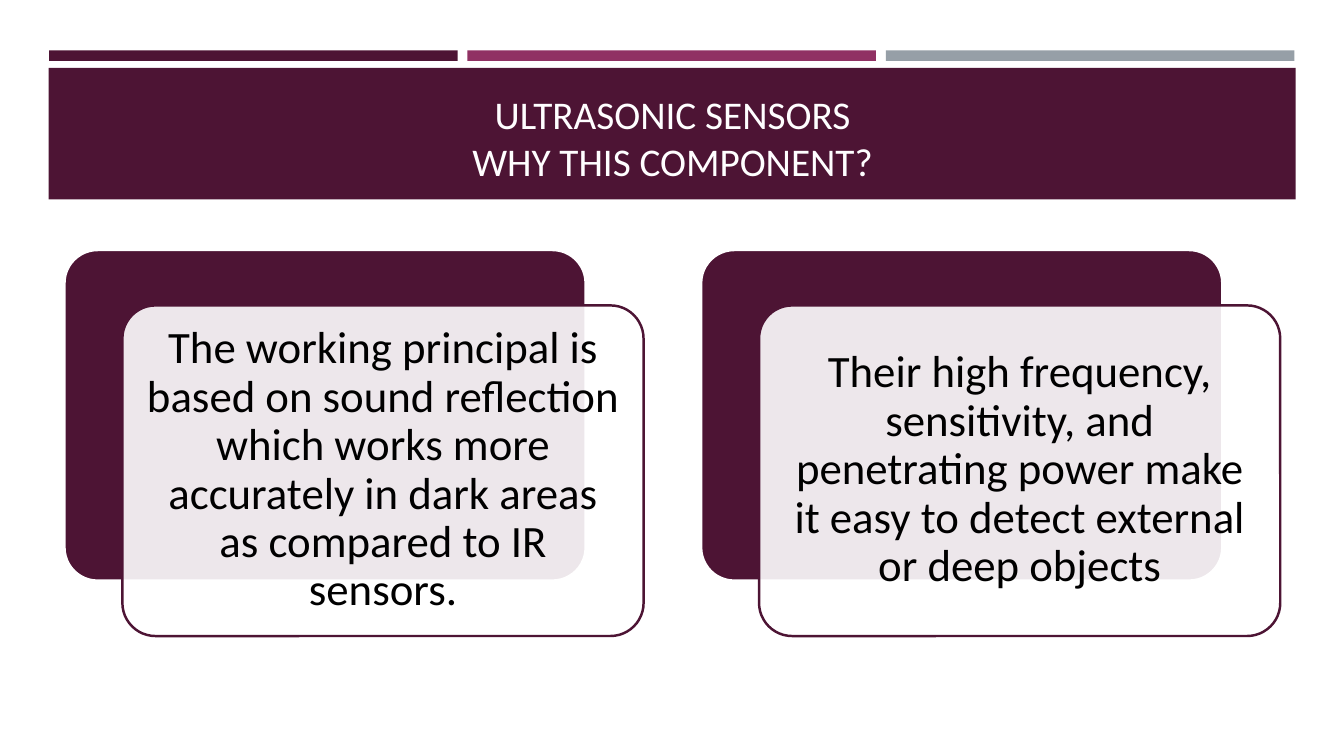
from lxml import etree
from pptx import Presentation
from pptx import util as u
from pptx.dml.color import RGBColor
from pptx.enum import shapes, text
from pptx.oxml import ns

PLUM = RGBColor(0x4D, 0x14, 0x34)
MAGENTA = RGBColor(0x90, 0x31, 0x63)
GREY = RGBColor(0x96, 0x9F, 0xA7)
WHITE = RGBColor(0xFF, 0xFF, 0xFF)
TITLE_WHITE = RGBColor(0xFF, 0xFE, 0xFF)
BLACK = RGBColor(0, 0, 0)

WIDTH, HEIGHT = u.Inches(13.33), u.Inches(7.5)
BAR_LEFT, BAR_STEP = 3.65, 31.13
CARD_LEFT, CARD_STEP = 4.8, 47.37
CARD_SIZE = (38.78, 43.73)

TITLE_LINES = ["ULTRASONIC SENSORS", "WHY THIS COMPONENT?"]
REASONS = [
    "The working principal is based on sound reflection which works more "
    "accurately in dark areas as compared to IR sensors.",
    "Their high frequency, sensitivity, and penetrating power make it easy "
    "to detect external or deep objects",
]


def place(left, top, width, height):
    return (int(WIDTH * left / 100), int(HEIGHT * top / 100),
            int(WIDTH * width / 100), int(HEIGHT * height / 100))


def add_block(slide, kind, area, fill, outline=None):
    block = slide.shapes.add_shape(kind, *place(*area))
    block.shadow.inherit = False
    block.fill.solid()
    block.fill.fore_color.rgb = fill
    if outline is None:
        block.line.fill.background()
    else:
        block.line.color.rgb = outline
        block.line.width = u.Pt(1.75)
    return block


def add_panel(slide, left, top, fill, outline):
    panel = add_block(slide, shapes.MSO_SHAPE.ROUNDED_RECTANGLE,
                      (left, top, *CARD_SIZE), fill, outline)
    panel.adjustments[0] = 0.1
    return panel


def set_opacity(panel, percent):
    color = panel.fill._xPr.find(ns.qn("a:solidFill"))[0]
    etree.SubElement(color, ns.qn("a:alpha"), val=str(percent * 1000))


def add_words(slide, area, lines, size, color, anchor, spacing, insets):
    frame = slide.shapes.add_textbox(*place(*area)).text_frame
    frame.word_wrap = True
    frame.vertical_anchor = anchor
    frame.margin_left = frame.margin_right = u.Inches(insets[0])
    frame.margin_top = frame.margin_bottom = u.Inches(insets[1])
    paragraph = frame.paragraphs[0]
    paragraph.alignment = text.PP_ALIGN.CENTER
    paragraph.line_spacing = spacing
    for index, line in enumerate(lines):
        if index:
            paragraph.add_line_break()
        run = paragraph.add_run()
        run.text = line
        run.font.name = "Calibri"
        run.font.size = u.Pt(size)
        run.font.color.rgb = color


def add_header(slide):
    rectangle = shapes.MSO_SHAPE.RECTANGLE
    for column, color in enumerate([PLUM, MAGENTA, GREY]):
        add_block(slide, rectangle,
                  (BAR_LEFT + column * BAR_STEP, 6.67, 30.4, 1.4), color)
    add_block(slide, rectangle, (3.62, 8.98, 92.78, 17.4), PLUM)
    add_words(slide, (4.8, 10.27, 90.47, 14.8), TITLE_LINES, 28, TITLE_WHITE,
              text.MSO_ANCHOR.BOTTOM, 1.0, (0.1, 0.05))


def add_reason(slide, column, reason):
    left = CARD_LEFT + column * CARD_STEP
    add_panel(slide, left, 33.07, PLUM, WHITE)
    front = add_panel(slide, left + 4.31, 40.4, WHITE, PLUM)
    set_opacity(front, 90)
    add_words(slide, (left + 5.03, 41.6, 37.36, 41.2), [reason], 32, BLACK,
              text.MSO_ANCHOR.MIDDLE, 0.9, (0.13, 0.13))


def main():
    deck = Presentation()
    deck.slide_width, deck.slide_height = WIDTH, HEIGHT
    slide = deck.slides.add_slide(deck.slide_layouts[6])
    add_header(slide)
    for column, reason in enumerate(REASONS):
        add_reason(slide, column, reason)
    deck.save("out.pptx")


if __name__ == "__main__":
    main()
